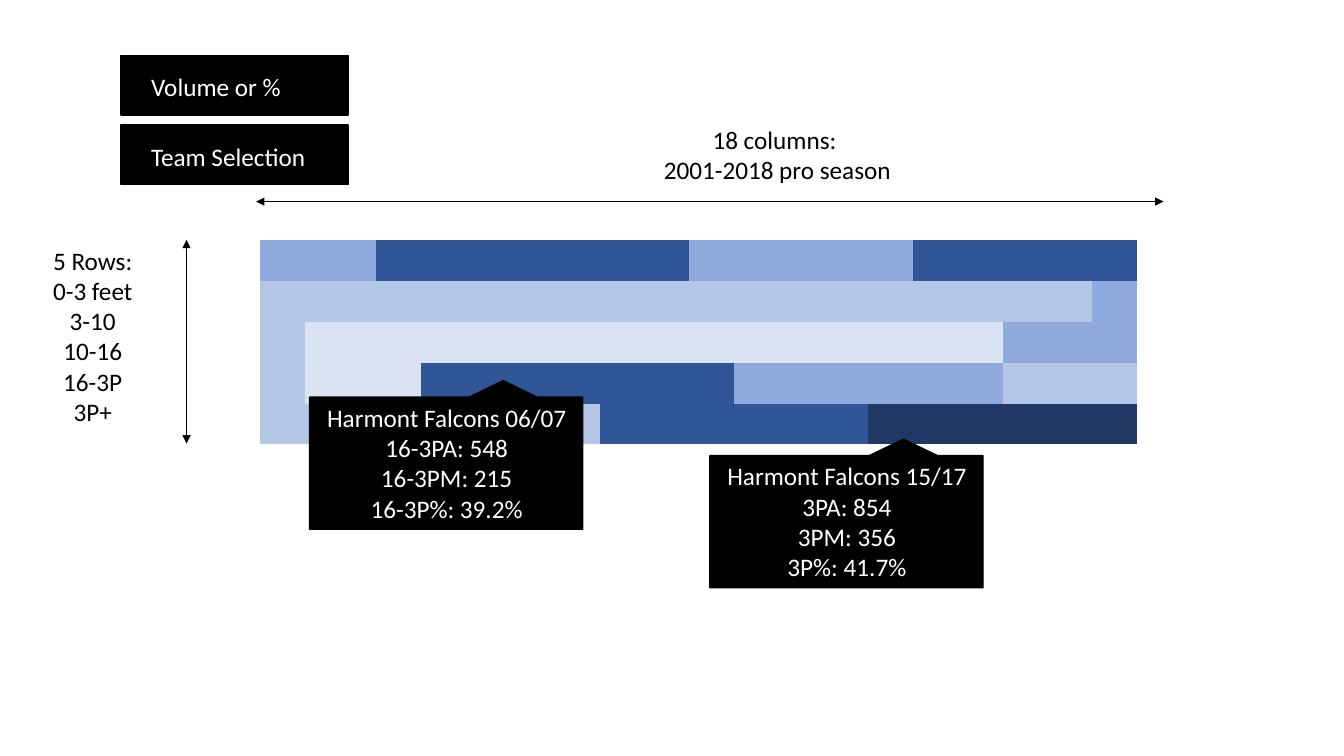
import pptx
import pptx.dml.color
import pptx.enum.shapes
import pptx.enum.text
import pptx.util
from lxml import etree
from pptx.util import Inches

# Content
COLORS = {
    "black": "000000", "white": "FFFFFF",
    "palest": "DAE3F3", "pale": "B4C7E7", "light": "8FAADC",
    "dark": "2F5597", "darkest": "203864",
}
# Each heatmap row: (color, number of columns) from left to right
HEATMAP_ROWS = [
    [("light", 3), ("dark", 7), ("light", 5), ("dark", 5)],
    [("pale", 19), ("light", 1)],
    [("pale", 1), ("palest", 16), ("light", 3)],
    [("pale", 1), ("palest", 3), ("dark", 7), ("light", 6), ("pale", 3)],
    [("pale", 8), ("dark", 6), ("darkest", 6)],
]
ROW_LABELS = ["5 Rows:", "0-3 feet", "3-10", "10-16", "16-3P", "3P+"]
COLUMN_LABELS = ["18 columns: ", "2001-2018 pro season"]
# Filter buttons: text, top of box, top of text, width of text
BUTTONS = [
    ("Volume or %", 0.55, 0.66, 1.5),
    ("Team Selection", 1.24, 1.35, 1.75),
]
# Tooltips: left, top, lines
TOOLTIPS = [
    (7.04, 4.52, ["Harmont Falcons 15/17", "3PA: 854", "3PM: 356", "3P%: 41.7%"]),
    (3.07, 3.94, ["Harmont Falcons 06/07", "16-3PA: 548", "16-3PM: 215", "16-3P%: 39.2%"]),
]
ARROWS = [(2.54, 2, 11.54, 2), (1.85, 2.38, 1.85, 4.4)]

FONT, TEXT_SIZE = "Calibri", 18
MAP_LEFT, MAP_TOP, MAP_WIDTH, MAP_HEIGHT = 2.58, 2.38, 8.7, 2.03
COLUMN_COUNT, NARROW_COLUMN, NARROW_WIDTH = 20, 1, 0.26
NO_GRID_STYLE = "{2D5ABB26-0587-4C30-8999-92F81FD0307C}"
SHAPES = pptx.enum.shapes.MSO_SHAPE
ALIGN = pptx.enum.text.PP_ALIGN


def color(name):
    return pptx.dml.color.RGBColor.from_string(COLORS[name])


def add_heatmap(page):
    frame = page.shapes.add_table(
        len(HEATMAP_ROWS), COLUMN_COUNT, Inches(MAP_LEFT), Inches(MAP_TOP),
        Inches(MAP_WIDTH), Inches(MAP_HEIGHT))
    table = frame.table
    table.first_row = table.horz_banding = False
    frame._element.xpath(".//a:tableStyleId")[0].text = NO_GRID_STYLE
    regular_width = (MAP_WIDTH - NARROW_WIDTH) / (COLUMN_COUNT - 1)
    for index, column in enumerate(table.columns):
        column.width = Inches(NARROW_WIDTH if index == NARROW_COLUMN else regular_width)
    for row, bands in zip(table.rows, HEATMAP_ROWS):
        names = [name for name, count in bands for _ in range(count)]
        for cell, name in zip(row.cells, names):
            cell.fill.solid()
            cell.fill.fore_color.rgb = color(name)


def add_arrow(page, x1, y1, x2, y2):
    arrow = page.shapes.add_connector(
        pptx.enum.shapes.MSO_CONNECTOR.STRAIGHT,
        Inches(x1), Inches(y1), Inches(x2), Inches(y2))
    arrow.line.color.rgb = color("black")
    arrow.line.width = pptx.util.Pt(0.5)
    line = arrow.line._get_or_add_ln()
    for end in ("a:headEnd", "a:tailEnd"):
        etree.SubElement(line, pptx.oxml.ns.qn(end), type="triangle")
    etree.SubElement(arrow._element.spPr, pptx.oxml.ns.qn("a:effectLst"))


def add_black_shape(page, kind, left, top, width, height):
    shape = page.shapes.add_shape(
        kind, Inches(left), Inches(top), Inches(width), Inches(height))
    shape.shadow.inherit = False
    shape.fill.solid()
    shape.fill.fore_color.rgb = color("black")
    shape.line.color.rgb = color("black")
    shape.line.width = pptx.util.Pt(1)
    return shape


def add_text(page, lines, left, top, width, height, ink, align, wrap):
    box = page.shapes.add_textbox(
        Inches(left), Inches(top), Inches(width), Inches(height))
    frame = box.text_frame
    frame.word_wrap = wrap
    frame.auto_size = pptx.enum.text.MSO_AUTO_SIZE.SHAPE_TO_FIT_TEXT
    for index, line in enumerate(lines):
        para = frame.add_paragraph() if index else frame.paragraphs[0]
        para.alignment = align
        span = para.add_run()
        span.text = line
        span.font.name = FONT
        span.font.size = pptx.util.Pt(TEXT_SIZE)
        span.font.color.rgb = color(ink)


def main():
    deck = pptx.Presentation()
    deck.slide_width, deck.slide_height = Inches(13.33), Inches(7.5)
    page = deck.slides.add_slide(deck.slide_layouts[6])

    # Heatmap with its axis arrows and labels
    add_heatmap(page)
    for ends in ARROWS:
        add_arrow(page, *ends)
    add_text(page, ROW_LABELS, 0.15, 2.38, 1.54, 2.22, "black", ALIGN.CENTER, True)
    add_text(page, COLUMN_LABELS, 6.22, 1.18, 2.98, 1.01, "black", ALIGN.CENTER, True)

    # Filter buttons
    for label, top, text_top, text_width in BUTTONS:
        add_black_shape(page, SHAPES.RECTANGLE, 1.2, top, 2.25, 0.59)
        add_text(page, [label], 1.4, text_top, text_width, 0.4, "white", ALIGN.LEFT, False)

    # Tooltips, with the callout turned so that it points up
    for left, top, lines in TOOLTIPS:
        callout = add_black_shape(page, SHAPES.RECTANGULAR_CALLOUT, left, top, 2.71, 1.31)
        callout.rotation = 180
        add_text(page, lines, left + 0.07, top, 2.58, 1.31, "white", ALIGN.CENTER, False)

    deck.save("out.pptx")


if __name__ == "__main__":
    main()
